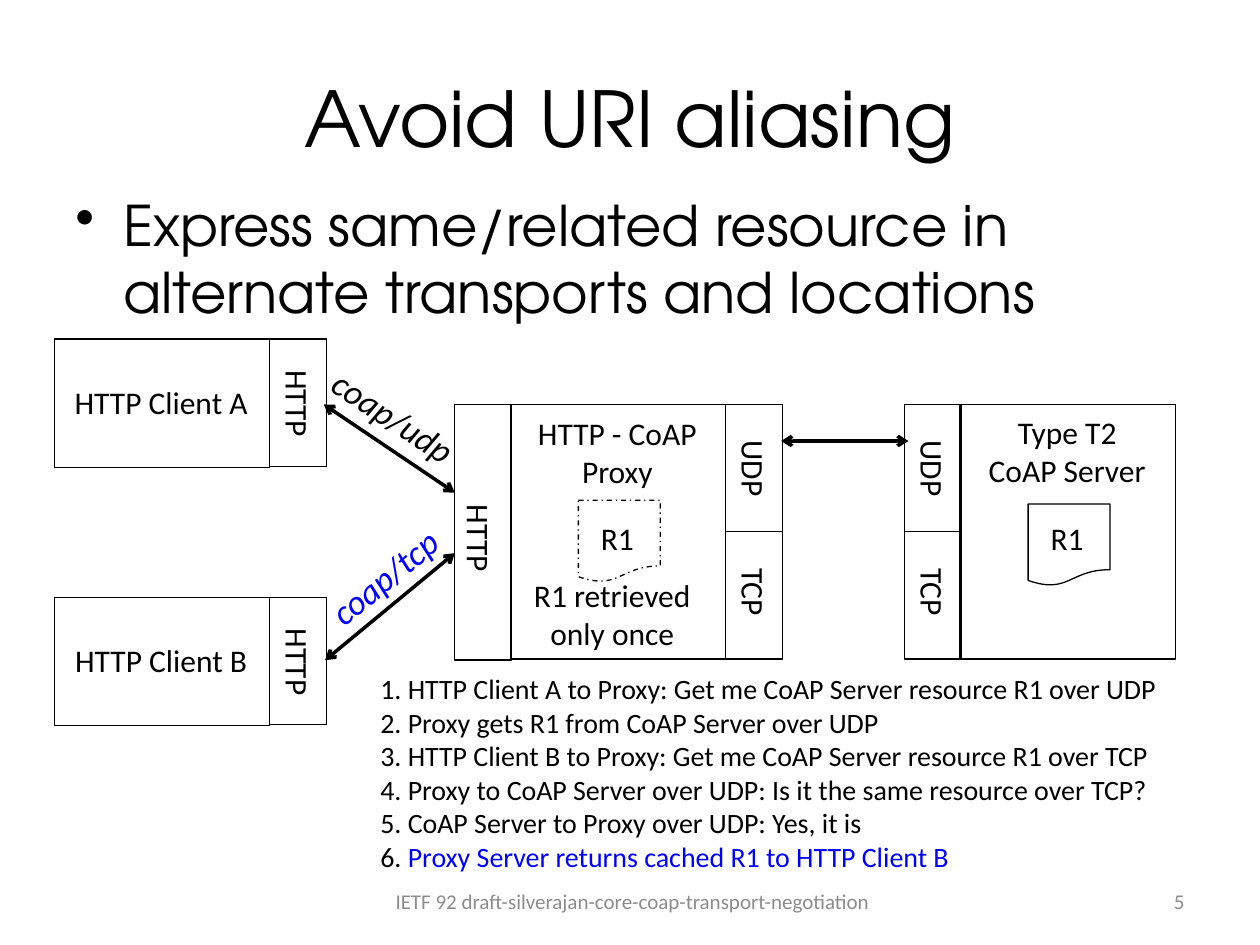
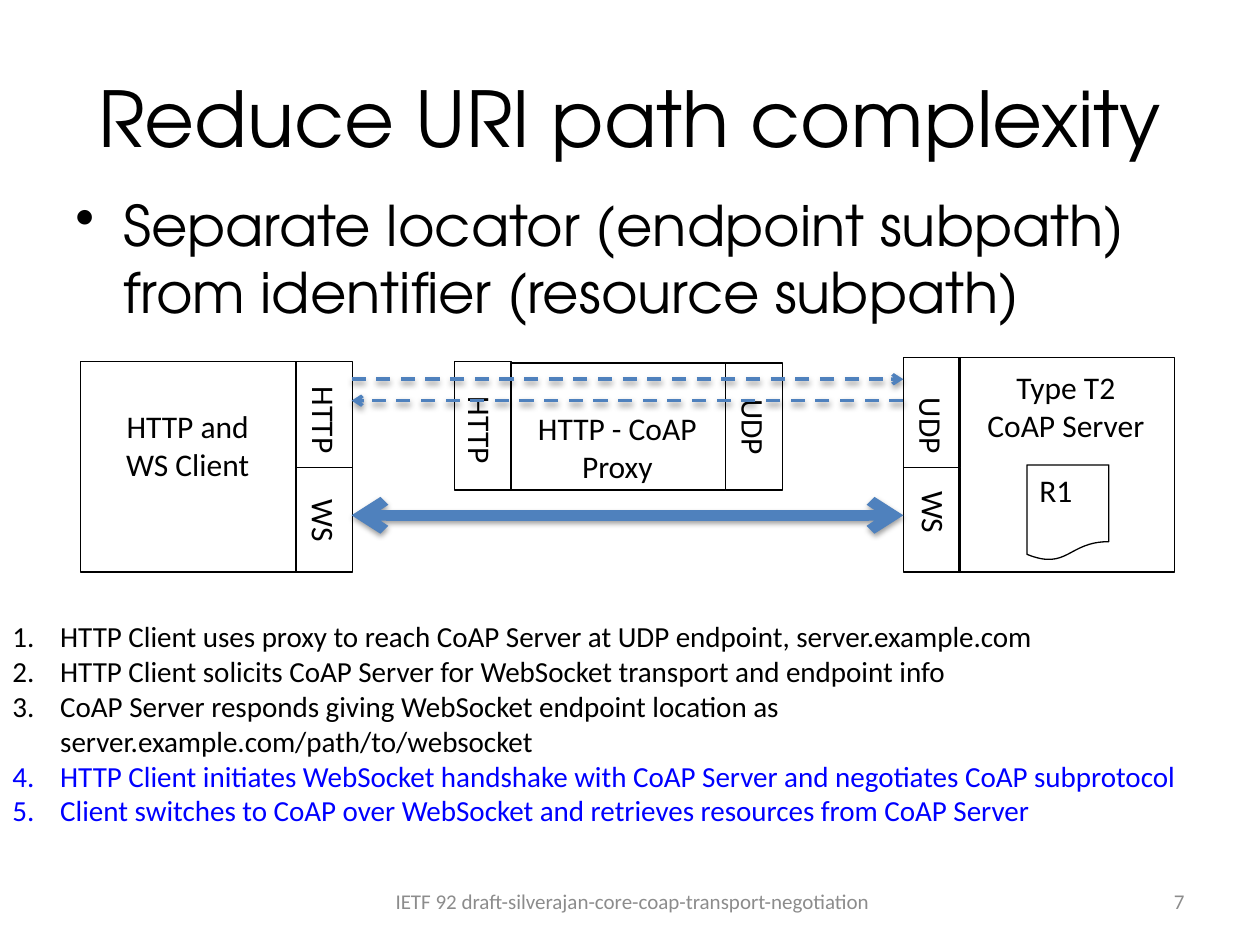
from lxml import etree
from pptx import Presentation
from pptx.dml.color import RGBColor
from pptx.enum.dml import MSO_LINE
from pptx.enum.shapes import MSO_CONNECTOR, MSO_SHAPE
from pptx.enum.text import MSO_ANCHOR, PP_ALIGN
from pptx.oxml.ns import qn
from pptx.util import Inches, Pt

RECT, DOCUMENT = MSO_SHAPE.RECTANGLE, MSO_SHAPE.FLOWCHART_DOCUMENT
STRAIGHT = MSO_CONNECTOR.STRAIGHT
DASH, DASH_DOT = MSO_LINE.DASH, MSO_LINE.DASH_DOT
LEFT, CENTER, RIGHT = PP_ALIGN.LEFT, PP_ALIGN.CENTER, PP_ALIGN.RIGHT
TOP, MIDDLE = MSO_ANCHOR.TOP, MSO_ANCHOR.MIDDLE

HEADING_FONT, BODY_FONT = "TeX Gyre Adventor", "Calibri"
BLACK, BLUE, ARROW_BLUE, GREY = "000000", "0000FF", "4F81BD", "8C8C8C"
FOOTER = "IETF 92 draft-silverajan-core-coap-transport-negotiation"

TAB_W, BLOCK_W = 0.45, 1.71
PROXY_X = 4.05
LABEL_LENGTHS = {"HTTP": 0.74, "UDP": 0.65, "TCP": 0.58, "WS": 0.57}


def rgb(value):
    """Turn a hex string into a colour."""
    return RGBColor.from_string(value)


def add_runs(paragraph, runs, size, font, italic=False):
    """Add (text, colour) runs; a newline in a text is a line break."""
    for text, colour in runs:
        for number, part in enumerate(text.split("\n")):
            if number:
                paragraph.add_line_break()
            run = paragraph.add_run()
            run.text = part
            run.font.size = Pt(size)
            run.font.name = font
            run.font.italic = italic
            run.font.color.rgb = rgb(colour)


def add_text(slide, box, lines, size=18, colour=BLACK, font=BODY_FONT, align=CENTER,
             anchor=TOP, rotation=0, wrap=True, italic=False):
    """Add a text box; each line is a string or a list of (text, colour) runs."""
    text_box = slide.shapes.add_textbox(*map(Inches, box))
    text_box.rotation = rotation
    frame = text_box.text_frame
    frame.word_wrap = wrap
    frame.vertical_anchor = anchor
    for number, line in enumerate(lines):
        paragraph = frame.add_paragraph() if number else frame.paragraphs[0]
        paragraph.alignment = align
        runs = [(line, colour)] if isinstance(line, str) else line
        add_runs(paragraph, runs, size, font, italic)
    return frame


def add_bullet(paragraph, tag, **attributes):
    """Give a paragraph a hanging indent and a bullet or number."""
    properties = paragraph._p.get_or_add_pPr()
    properties.set("marL", str(Inches(0.38)))
    properties.set("indent", str(-Inches(0.38)))
    etree.SubElement(properties, qn(tag), attributes)


def add_outline(slide, box, kind=RECT, dash=None):
    """Add an unfilled shape with a thin black line."""
    shape = slide.shapes.add_shape(kind, *map(Inches, box))
    shape.shadow.inherit = False
    shape.fill.background()
    shape.line.color.rgb = rgb(BLACK)
    shape.line.width = Pt(0.75)
    if dash:
        shape.line.dash_style = dash
    return shape


def add_line(slide, start, end, colour=BLACK, width=2.0, dash=None,
             ends=("headEnd", "tailEnd"), shadow=False):
    """Add a straight line with open arrowheads at the given ends."""
    line = slide.shapes.add_connector(STRAIGHT, *map(Inches, (*start, *end)))
    line.line.color.rgb = rgb(colour)
    line.line.width = Pt(width)
    if dash:
        line.line.dash_style = dash
    properties = line._element.spPr
    for end_name in ends:
        etree.SubElement(properties.find(qn("a:ln")), qn("a:" + end_name), type="arrow")
    effects = etree.SubElement(properties, qn("a:effectLst"))
    if shadow:
        outer = etree.SubElement(effects, qn("a:outerShdw"), blurRad="40000", dist="20000",
                                 dir="5400000", rotWithShape="0")
        tint = etree.SubElement(outer, qn("a:srgbClr"), val=BLACK)
        etree.SubElement(tint, qn("a:alpha"), val="38000")


def add_tab_label(slide, text, tab_x, top, shift=0):
    """Write a protocol name downwards along the middle of a tab."""
    length, height = LABEL_LENGTHS[text], 0.4
    left = tab_x + TAB_W / 2 + shift - length / 2
    box = (left, top + length / 2 - height / 2, length, height)
    add_text(slide, box, [text], align=LEFT, rotation=90, wrap=False)


def add_tab(slide, text, left, top, height, label_top, shift=0):
    """Add a protocol tab with its vertical label."""
    add_outline(slide, (left, top, TAB_W, height))
    add_tab_label(slide, text, left, label_top, shift)


def add_block(slide, left, top, height, lines, text_top):
    """Add a network node with its name."""
    add_outline(slide, (left, top, BLOCK_W, height))
    add_text(slide, (left, text_top, 1.7, 0.31 * len(lines) + 0.09), lines)


def add_base(deck, title, statement, number):
    """Add a slide with title, bulleted statement and footer."""
    slide = deck.slides.add_slide(deck.slide_layouts[6])
    add_text(slide, (0.5, 0.3, 9, 1.25), [title], 44, font=HEADING_FONT, anchor=MIDDLE)
    frame = add_text(slide, (0.5, 1.46, 9, 1.44), [statement], 32, font=HEADING_FONT,
                     align=LEFT)
    add_bullet(frame.paragraphs[0], "a:buChar", char="\u2022")
    add_text(slide, (7.17, 6.95, 2.33, 0.4), [number], 12, GREY, align=RIGHT, anchor=MIDDLE)
    add_text(slide, (2.35, 6.95, 5.34, 0.4), [FOOTER], 12, GREY, anchor=MIDDLE)
    return slide


def build_aliasing(deck):
    """Two clients reach one resource over different transports."""
    slide = add_base(deck, "Avoid URI aliasing",
                     "Express same/related resource in alternate transports and locations", "5")

    for name, top in (("HTTP Client A", 2.69), ("HTTP Client B", 4.74)):
        add_block(slide, 0.43, top, 1.02, [name], top + 0.3)
        add_tab(slide, "HTTP", 2.14, top, 1.01, top + 0.15)

    add_block(slide, PROXY_X, 3.21, 2.02, ["HTTP - CoAP", "Proxy"], 3.24)
    add_tab(slide, "HTTP", 3.61, 3.21, 2.03, 3.91, shift=-0.03)
    add_text(slide, (4.01, 4.52, 1.7, 0.71), ["R1 retrieved", "only once"])
    add_block(slide, 7.62, 3.21, 2.02, ["Type T2", "CoAP Server"], 3.23)
    for tab_x in (5.76, 7.18):
        add_tab(slide, "UDP", tab_x, 3.21, 1.01, 3.4)
        add_tab(slide, "TCP", tab_x, 4.22, 1.01, 4.41)
    for resource_x, top, dash in ((4.59, 3.97, DASH_DOT), (8.16, 4.0, None)):
        add_outline(slide, (resource_x, top, 0.65, 0.65), DOCUMENT, dash)
        add_text(slide, (resource_x + 0.08, 4.07, 0.47, 0.4), ["R1"], align=LEFT, wrap=False)

    for start, end in (((2.58, 5.24), (3.61, 4.39)), ((6.2, 3.5), (7.21, 3.5)),
                       ((2.57, 3.21), (3.61, 3.91))):
        add_line(slide, start, end)
    add_text(slide, (2.4, 3.09, 1.44, 0.44), ["coap/udp"], 20, rotation=33.3, italic=True)
    add_text(slide, (2.33, 4.36, 1.44, 0.44), ["coap/tcp"], 20, BLUE, rotation=320.4,
             italic=True)

    steps = [
        "1. HTTP Client A to Proxy: Get me CoAP Server resource R1 over UDP",
        "2. Proxy gets R1 from CoAP Server over UDP",
        "3. HTTP Client B to Proxy: Get me CoAP Server resource R1 over TCP",
        "4. Proxy to CoAP Server over UDP: Is it the same resource over TCP?",
        "5. CoAP Server to Proxy over UDP: Yes, it is",
        [("6. ", BLACK), ("Proxy Server returns cached R1 to HTTP Client B", BLUE)],
    ]
    add_text(slide, (2.92, 5.28, 6.44, 1.78), steps, 16, align=LEFT, wrap=False)


def build_complexity(deck):
    """A client moves from the proxy to a direct WebSocket."""
    slide = add_base(deck, "Reduce URI path complexity",
                     "Separate locator (endpoint subpath) from identifier (resource subpath)",
                     "7")

    client_tab_x, server_tab_x, middle = 2.35, 7.17, 3.71
    add_block(slide, 0.64, 2.87, 1.67, ["HTTP and", "WS Client"], 3.18)
    add_outline(slide, (client_tab_x, 2.87, TAB_W, 1.67))
    add_tab_label(slide, "HTTP", client_tab_x, 2.97)
    add_tab_label(slide, "WS", client_tab_x, 3.87)
    add_line(slide, (client_tab_x, middle), (2.79, middle), width=0.75, ends=())

    add_block(slide, 7.61, 2.84, 1.7, ["Type T2", "CoAP Server"], 2.87)
    add_tab(slide, "UDP", server_tab_x, 2.84, 0.87, 3.06)
    add_tab(slide, "WS", server_tab_x, middle, 0.83, 3.8, shift=0.02)
    resource = add_outline(slide, (8.15, 3.69, 0.65, 0.76), DOCUMENT)
    resource.text_frame.vertical_anchor = TOP
    resource_name = resource.text_frame.paragraphs[0]
    resource_name.alignment = LEFT
    add_runs(resource_name, [("R1", BLACK)], 18, BODY_FONT)

    add_block(slide, PROXY_X, 2.88, 1.01, ["HTTP - CoAP", "Proxy"], 3.2)
    add_tab(slide, "UDP", 5.76, 2.88, 1.01, 3.07)
    add_tab(slide, "HTTP", 3.61, 2.87, 1.02, 3.05, shift=-0.02)

    for start_x, end_x, y in ((2.79, 7.17, 3.01), (7.17, 2.79, 3.18)):
        add_line(slide, (start_x, y), (end_x, y), ARROW_BLUE, dash=DASH, ends=("tailEnd",),
                 shadow=True)
    add_line(slide, (2.79, 4.09), (7.17, 4.09), ARROW_BLUE, width=6, shadow=True)

    proxy_steps = [
        "HTTP Client uses proxy to reach CoAP Server at UDP endpoint, server.example.com",
        "HTTP Client solicits CoAP Server for WebSocket transport and endpoint info",
        "CoAP Server responds giving WebSocket endpoint location as\n"
        "server.example.com/path/to/websocket",
    ]
    direct_steps = [
        "HTTP Client initiates WebSocket handshake with CoAP Server and negotiates "
        "CoAP subprotocol",
        "Client switches to CoAP over WebSocket and retrieves resources from CoAP Server",
    ]
    steps = proxy_steps + [[(step, BLUE)] for step in direct_steps]
    frame = add_text(slide, (0, 4.86, 10, 1.82), steps, 16.6, align=LEFT)
    for paragraph in frame.paragraphs:
        add_bullet(paragraph, "a:buAutoNum", type="arabicPeriod")


def main():
    """Build and save both slides."""
    deck = Presentation()
    deck.slide_width, deck.slide_height = Inches(10), Inches(7.5)
    build_aliasing(deck)
    build_complexity(deck)
    deck.save("out.pptx")


main()
